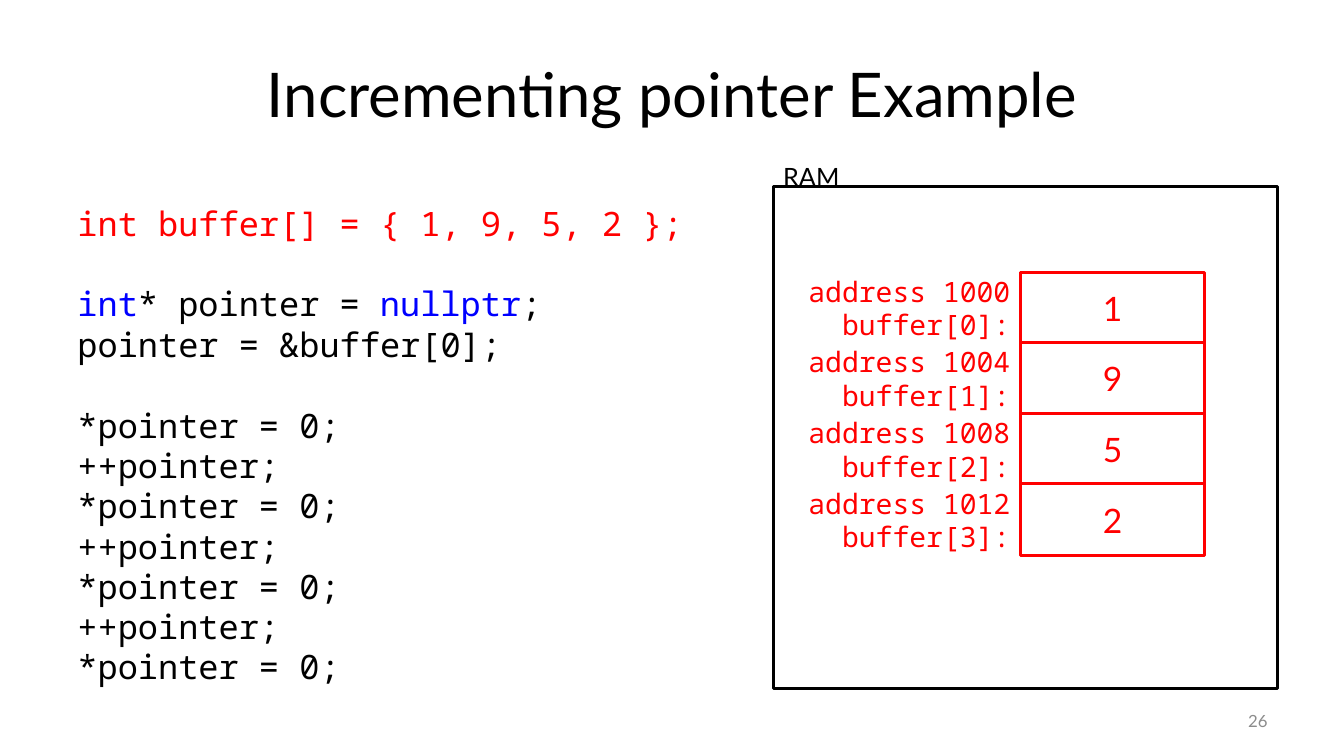
from dataclasses import dataclass

from pptx import Presentation
from pptx.dml.color import RGBColor
from pptx.enum.shapes import MSO_SHAPE
from pptx.enum.text import MSO_ANCHOR, PP_ALIGN
from pptx.util import Inches, Pt

RECTANGLE = MSO_SHAPE.RECTANGLE
TOP, MIDDLE = MSO_ANCHOR.TOP, MSO_ANCHOR.MIDDLE
LEFT, CENTER, RIGHT = PP_ALIGN.LEFT, PP_ALIGN.CENTER, PP_ALIGN.RIGHT


@dataclass(frozen=True)
class Theme:
    sans: str = "Lato"
    mono: str = "Noto Sans Mono"
    black: RGBColor = RGBColor(0, 0, 0)
    white: RGBColor = RGBColor(255, 255, 255)
    red: RGBColor = RGBColor(255, 0, 0)
    blue: RGBColor = RGBColor(0, 0, 255)
    gray: RGBColor = RGBColor(0x8C, 0x8C, 0x8C)
    title_size: int = 44
    code_size: int = 24
    value_size: int = 24
    address_size: int = 20
    caption_size: int = 18
    number_size: int = 12
    code_line: float = 28.9
    outline: int = 2


THEME = Theme()

VALUES = (1, 9, 5, 2)
FIRST_ADDRESS, INT_BYTES = 1000, 4
CELL_LEFT, CELL_TOP, CELL_WIDTH, CELL_HEIGHT = 10.12, 2.7, 1.83, 0.71
CELL_PITCH = 0.7
LABEL_LEFT, LABEL_HEIGHT = 7.5, 0.77

# Each block is a list of lines; each line is a list of (text, colour) runs.
CODE_BLOCKS = [
    [[("int buffer[] = { 1, 9, 5, 2 };", THEME.red)]],
    [
        [("int", THEME.blue), ("* pointer = ", THEME.black),
         ("nullptr", THEME.blue), (";", THEME.black)],
        [("pointer = &buffer[0];", THEME.black)],
    ],
    [[(line, THEME.black)]
     for line in ["*pointer = 0;", "++pointer;"] * 3 + ["*pointer = 0;"]],
]


def place(shape, left, top, width, height):
    shape.left, shape.top = Inches(left), Inches(top)
    shape.width, shape.height = Inches(width), Inches(height)


def add_run(para, text, font, size, color):
    span = para.add_run()
    span.text = text
    span.font.name = font
    span.font.size = Pt(size)
    span.font.color.rgb = color


def write_lines(frame, lines, font, size, color, align=LEFT, anchor=TOP):
    frame.word_wrap = True
    frame.vertical_anchor = anchor
    for index, line in enumerate(lines):
        para = frame.add_paragraph() if index else frame.paragraphs[0]
        para.alignment = align
        add_run(para, line, font, size, color)


def add_text(page, bounds, lines, font, size, color, align=LEFT, anchor=TOP):
    box = page.shapes.add_textbox(*map(Inches, bounds))
    write_lines(box.text_frame, lines, font, size, color, align, anchor)


def add_frame(page, bounds, line_color):
    """Add a white rectangle with a coloured outline."""
    box = page.shapes.add_shape(RECTANGLE, *map(Inches, bounds))
    box.shadow.inherit = False
    box.fill.solid()
    box.fill.fore_color.rgb = THEME.white
    box.line.color.rgb = line_color
    box.line.width = Pt(THEME.outline)
    return box


def add_title(page, text):
    title = page.shapes.title
    place(title, 0.67, 0.3, 12, 1.25)
    write_lines(title.text_frame, [text], THEME.sans, THEME.title_size,
                THEME.black, CENTER, MIDDLE)


def add_memory_cell(page, index, value):
    top = CELL_TOP + index * CELL_PITCH
    cell = add_frame(page, (CELL_LEFT, top, CELL_WIDTH, CELL_HEIGHT), THEME.red)
    write_lines(cell.text_frame, [str(value)], THEME.sans, THEME.value_size,
                THEME.red, CENTER, MIDDLE)
    label_top = top + (CELL_HEIGHT - LABEL_HEIGHT) / 2
    address = FIRST_ADDRESS + index * INT_BYTES
    add_text(page, (LABEL_LEFT, label_top, CELL_LEFT - LABEL_LEFT, LABEL_HEIGHT),
             [f"address {address}", f"buffer[{index}]:"], THEME.mono,
             THEME.address_size, THEME.red, RIGHT, MIDDLE)


def add_code(page, bounds, blocks):
    """Add code lines, with one line of space between blocks."""
    frame = page.shapes.add_textbox(*map(Inches, bounds)).text_frame
    frame.word_wrap = True
    para = frame.paragraphs[0]
    for block_index, block in enumerate(blocks):
        for line_index, line in enumerate(block):
            if block_index or line_index:
                para = frame.add_paragraph()
            if block_index and line_index == 0:
                para.space_before = Pt(THEME.code_line)
            for text, color in line:
                add_run(para, text, THEME.mono, THEME.code_size, color)


def main():
    deck = Presentation()
    deck.slide_width, deck.slide_height = Inches(13.33), Inches(7.5)
    page = deck.slides.add_slide(deck.slide_layouts[5])
    add_title(page, "Incrementing pointer Example")
    add_text(page, (9.56, 6.95, 3.11, 0.4), ["26"], THEME.sans,
             THEME.number_size, THEME.gray, RIGHT, MIDDLE)
    add_frame(page, (7.67, 1.85, 5, 4.98), THEME.black)
    add_text(page, (7.67, 1.55, 1.86, 0.4), ["RAM"], THEME.sans,
             THEME.caption_size, THEME.black)
    for index, value in enumerate(VALUES):
        add_memory_cell(page, index, value)
    add_code(page, (0.67, 1.96, 6.67, 4.95), CODE_BLOCKS)
    deck.save("out.pptx")


if __name__ == "__main__":
    main()
